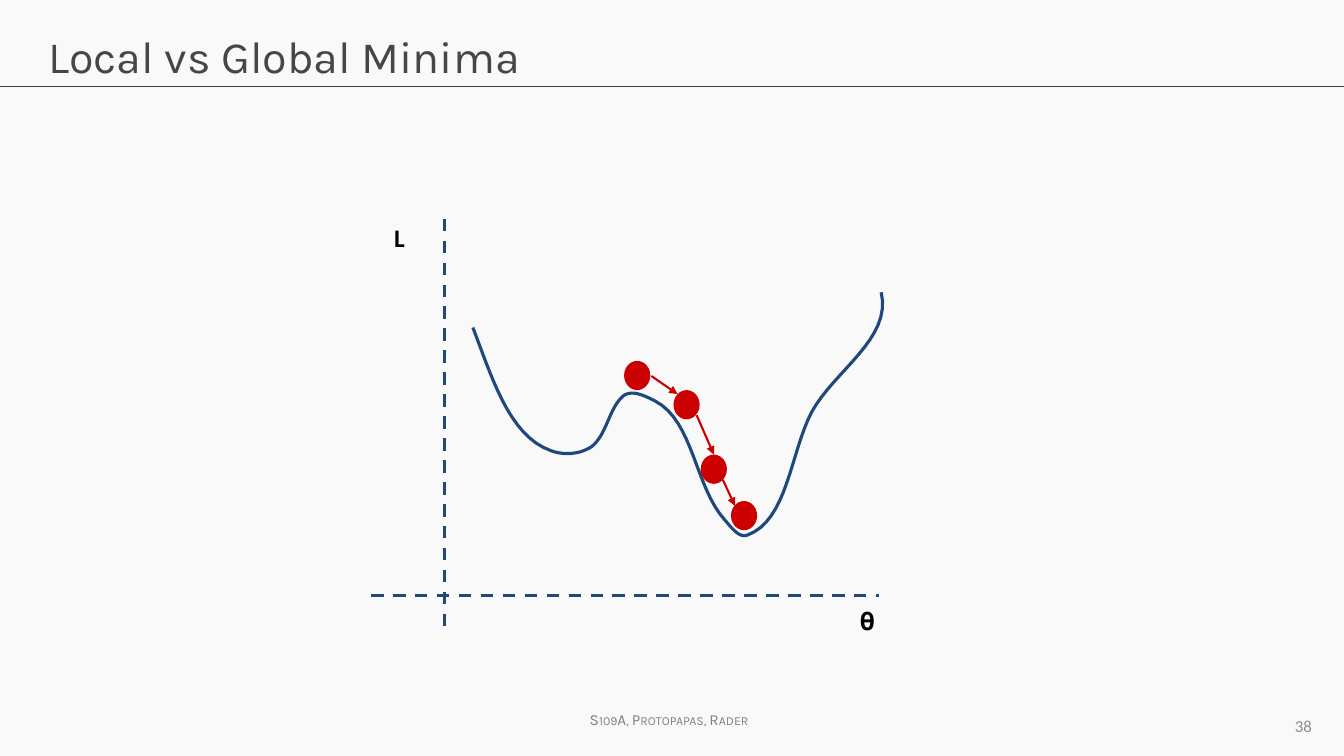
from pptx import Presentation
from pptx.dml.color import RGBColor
from pptx.enum.dml import MSO_LINE
from pptx.enum.shapes import MSO_CONNECTOR, MSO_SHAPE
from pptx.enum.text import MSO_ANCHOR, PP_ALIGN
from pptx.oxml.ns import qn
from pptx.util import Pt
from lxml import etree

PX = 9144  # 100 px to the inch
STRAIGHT, OVAL, DASH = MSO_CONNECTOR.STRAIGHT, MSO_SHAPE.OVAL, MSO_LINE.DASH
LEFT, RIGHT = PP_ALIGN.LEFT, PP_ALIGN.RIGHT
TOP, MIDDLE = MSO_ANCHOR.TOP, MSO_ANCHOR.MIDDLE
PAPER = RGBColor(0xF9, 0xF9, 0xF9)
RULE = RGBColor(0x40, 0x40, 0x40)
TITLE = RGBColor(0x46, 0x46, 0x46)
FOOT = RGBColor(0x80, 0x80, 0x80)
NUMBER = RGBColor(0x8C, 0x8C, 0x8C)
BLACK = RGBColor(0, 0, 0)
NAVY = RGBColor(0x1F, 0x49, 0x7D)
RED = RGBColor(0xCC, 0, 0)


def add_text(shapes, box, text, style, align=LEFT, anchor=TOP, wrap=True, inset=5):
    frame = shapes.add_textbox(*[n * PX for n in box]).text_frame
    layout = {"word_wrap": wrap, "vertical_anchor": anchor,
              "margin_top": inset * PX, "margin_bottom": inset * PX,
              "margin_left": 10 * PX, "margin_right": 10 * PX}
    for key, value in layout.items():
        setattr(frame, key, value)
    para = frame.paragraphs[0]
    para.alignment = align
    run = para.add_run()
    run.text = text
    name, size, color, bold = style
    for key, value in {"name": name, "size": Pt(size), "bold": bold}.items():
        setattr(run.font, key, value)
    run.font.color.rgb = color
    return run


def add_line(shapes, ends, color, width, dash=None, arrow=False):
    link = shapes.add_connector(STRAIGHT, *[n * PX for n in ends])
    link.line.color.rgb = color
    link.line.width = Pt(width)
    if dash:
        link.line.dash_style = dash
    props = link._element.spPr
    if arrow:
        etree.SubElement(props.find(qn("a:ln")), qn("a:tailEnd"), type="triangle")
    etree.SubElement(props, qn("a:effectLst"))


deck = Presentation()
deck.slide_width, deck.slide_height = 1333 * PX, 750 * PX
slide = deck.slides.add_slide(deck.slide_layouts[6])
slide.background.fill.solid()
slide.background.fill.fore_color.rgb = PAPER

# Title, rule and footer
add_line(slide.shapes, (0, 86, 1333, 86), RULE, 0.75)
foot = add_text(slide.shapes, (575, 700, 188, 29), "S109A, Protopapas, Rader",
                ("Karla", 11, FOOT, False), wrap=False)
foot.font._element.set("cap", "small")
add_text(slide.shapes, (38, 24, 1257, 84), "Local vs Global Minima",
         ("Karla", 32, TITLE, False))
add_text(slide.shapes, (1000, 700, 311, 40), "38",
         ("Calibri", 12, NUMBER, False), align=RIGHT, anchor=MIDDLE)

# Axes with labels
plot = slide.shapes.add_group_shape().shapes
for ends in [(441, 217, 441, 629), (368, 591, 872, 591)]:
    add_line(plot, ends, NAVY, 2.25, dash=DASH)
for left, top, text, bold in [(381, 211, "L", True), (843, 591, "𝛉", False)]:
    add_text(plot, (left, top, 60, 70), text, ("Calibri", 18, BLACK, bold), inset=10)

# Loss curve: Bezier pieces, each two handles and an end point
START = (469, 325)
PIECES = [
    ((487, 371), (504, 432), (546, 447)),
    ((559, 452), (575, 451), (587, 443)),
    ((602, 431), (604, 405), (618, 393)),
    ((627, 386), (640, 393), (650, 398)),
    ((688, 418), (689, 483), (719, 516)),
    ((725, 523), (733, 534), (741, 531)),
    ((781, 517), (784, 449), (805, 409)),
    ((827, 368), (885, 336), (874, 290)),
]
STEPS = 16
points, last = [], START
for one, two, end in PIECES:
    for step in range(1, STEPS + 1):
        t = step / STEPS
        u = 1 - t
        points.append([PX * (u**3 * a + 3 * u * u * t * b + 3 * u * t * t * c + t**3 * d)
                       for a, b, c, d in zip(last, one, two, end)])
    last = end
pen = plot.build_freeform(START[0] * PX, START[1] * PX)
pen.add_line_segments(points, close=False)
curve = pen.convert_to_shape()
curve.shadow.inherit = False
curve.fill.background()
curve.line.color.rgb = NAVY
curve.line.width = Pt(2.25)

# Balls rolling down to the global minimum
for left, top in [(619, 358), (668, 387), (695, 451), (725, 497)]:
    ball = plot.add_shape(OVAL, left * PX, top * PX, 26 * PX, 29 * PX)
    ball.shadow.inherit = False
    ball.fill.solid()
    ball.fill.fore_color.rgb = RED
    ball.line.fill.background()
for ends in [(646, 373, 672, 391), (691, 412, 708, 451), (717, 476, 729, 502)]:
    add_line(plot, ends, RED, 1.5, arrow=True)

deck.save("out.pptx")
